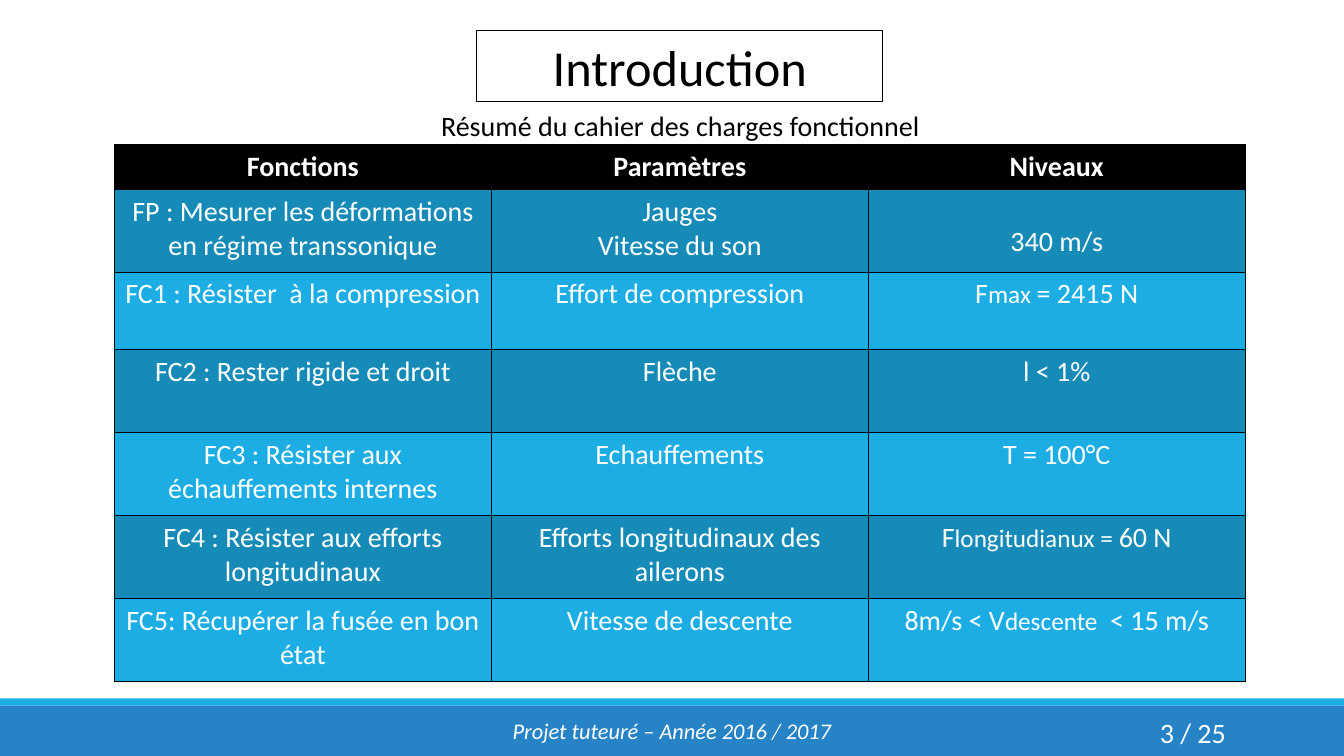
from itertools import cycle

from lxml import etree
from pptx import Presentation
from pptx.dml.color import RGBColor
from pptx.enum.shapes import MSO_SHAPE
from pptx.enum.text import MSO_ANCHOR, PP_ALIGN
from pptx.oxml.ns import qn
from pptx.util import Emu, Pt

RECTANGLE = MSO_SHAPE.RECTANGLE
TOP, MIDDLE = MSO_ANCHOR.TOP, MSO_ANCHOR.MIDDLE
CENTER, RIGHT = PP_ALIGN.CENTER, PP_ALIGN.RIGHT

FONT = "Calibri"
BLACK, WHITE = "000000", "FFFFFF"
BLUE, CYAN, DARK_CYAN = "2683C6", "1CADE4", "168BB7"
BODY_SIZE, SMALL_SIZE = 20, 18

HEADERS = ["Fonctions", "Paramètres", "Niveaux"]
REQUIREMENTS = [
    ["FP : Mesurer les déformations en régime transsonique", "Jauges\nVitesse du son", "340 m/s"],
    ["FC1 : Résister  à la compression", "Effort de compression", "F|max |= 2415 N"],
    ["FC2 : Rester rigide et droit", "Flèche", "l < 1%"],
    ["FC3 : Résister aux échauffements internes", "Echauffements", "T = 100°C"],
    ["FC4 : Résister aux efforts longitudinaux", "Efforts longitudinaux des ailerons",
     "F|longitudianux = |60 N"],
    ["FC5: Récupérer la fusée en bon état", "Vitesse de descente", "8m/s < V|descente|  < 15 m/s"],
]
ROW_HEIGHTS = [39, 79, 74, 79, 79, 79, 79]


def px(length):
    """Turn pixels into EMU."""
    return Emu(length * 9525)


def color(value):
    """Turn a hex string into a colour."""
    return RGBColor.from_string(value)


class SlideBuilder:
    """Hold the style and the current slide."""

    def __init__(self, page):
        """Keep the page to draw on."""
        self.page = page

    def fill_text(self, frame, text, size, ink, align=CENTER, bold=False, italic=False):
        """Fill a frame, one paragraph a line, with smaller spans between bars."""
        frame.word_wrap = True
        for index, line in enumerate(text.split("\n")):
            para = frame.add_paragraph() if index else frame.paragraphs[0]
            para.alignment = align
            font = para.font
            font.name, font.size, font.bold, font.italic = FONT, Pt(size), bold, italic
            font.color.rgb = color(ink)
            for part, part_size in zip(line.split("|"), cycle([size, SMALL_SIZE])):
                span = para.add_run()
                span.text = part
                if part_size != size:
                    span.font.size = Pt(part_size)

    def rectangle(self, left, top, width, height, fill=None, line=None):
        """Add a plain rectangle."""
        box = self.page.shapes.add_shape(RECTANGLE, px(left), px(top), px(width), px(height))
        box.shadow.inherit = False
        if fill:
            box.fill.solid()
            box.fill.fore_color.rgb = color(fill)
        else:
            box.fill.background()
        if line:
            box.line.color.rgb = color(line)
            box.line.width = Pt(0.75)
        else:
            box.line.fill.background()
        return box

    def label(self, left, top, width, height, text, size, ink, anchor=TOP, **style):
        """Add a text box."""
        box = self.page.shapes.add_textbox(px(left), px(top), px(width), px(height))
        box.text_frame.vertical_anchor = anchor
        self.fill_text(box.text_frame, text, size, ink, **style)

    def border(self, cell):
        """Draw a thin black line on each side of a cell."""
        properties = cell._tc.get_or_add_tcPr()
        for side in ("a:lnL", "a:lnR", "a:lnT", "a:lnB"):
            line = etree.SubElement(properties, qn(side), w=str(Pt(1)))
            fill = etree.SubElement(line, qn("a:solidFill"))
            etree.SubElement(fill, qn("a:srgbClr"), val=BLACK)

    def table(self, left, top, column_width, heights, rows, fills):
        """Add a bordered table with a bold first row."""
        columns = len(rows[0])
        frame = self.page.shapes.add_table(
            len(rows), columns, px(left), px(top), px(column_width * columns), px(sum(heights)))
        grid = frame.table
        for column in grid.columns:
            column.width = px(column_width)
        for index, (texts, height, fill) in enumerate(zip(rows, heights, fills)):
            grid.rows[index].height = px(height)
            for cell, text in zip(grid.rows[index].cells, texts):
                self.border(cell)
                cell.fill.solid()
                cell.fill.fore_color.rgb = color(fill)
                self.fill_text(cell.text_frame, text, BODY_SIZE, WHITE, bold=index == 0)
        return grid


def main():
    """Build the deck."""
    deck = Presentation()
    deck.slide_width, deck.slide_height = px(1280), px(720)
    builder = SlideBuilder(deck.slides.add_slide(deck.slide_layouts[6]))

    builder.rectangle(0, 672, 1280, 48, fill=BLUE)
    builder.rectangle(0, 665, 1280, 7, fill=CYAN)

    fills = [BLACK] + [DARK_CYAN, CYAN] * 3
    grid = builder.table(109, 138, 359, ROW_HEIGHTS, [HEADERS] + REQUIREMENTS, fills)
    grid.cell(1, 2).margin_top = px(34)

    title = builder.rectangle(454, 29, 387, 68, line=BLACK)
    builder.fill_text(title.text_frame, "Introduction", 36, BLACK)
    builder.label(330, 99, 636, 42, "Résumé du cahier des charges fonctionnel", BODY_SIZE, BLACK)
    builder.label(1040, 678, 137, 38, "3 / 25", BODY_SIZE, WHITE, anchor=MIDDLE, align=RIGHT)
    builder.label(0, 678, 1280, 36, "Projet tuteuré – Année 2016 / 2017", 16, WHITE, italic=True)

    deck.save("out.pptx")


if __name__ == "__main__":
    main()
